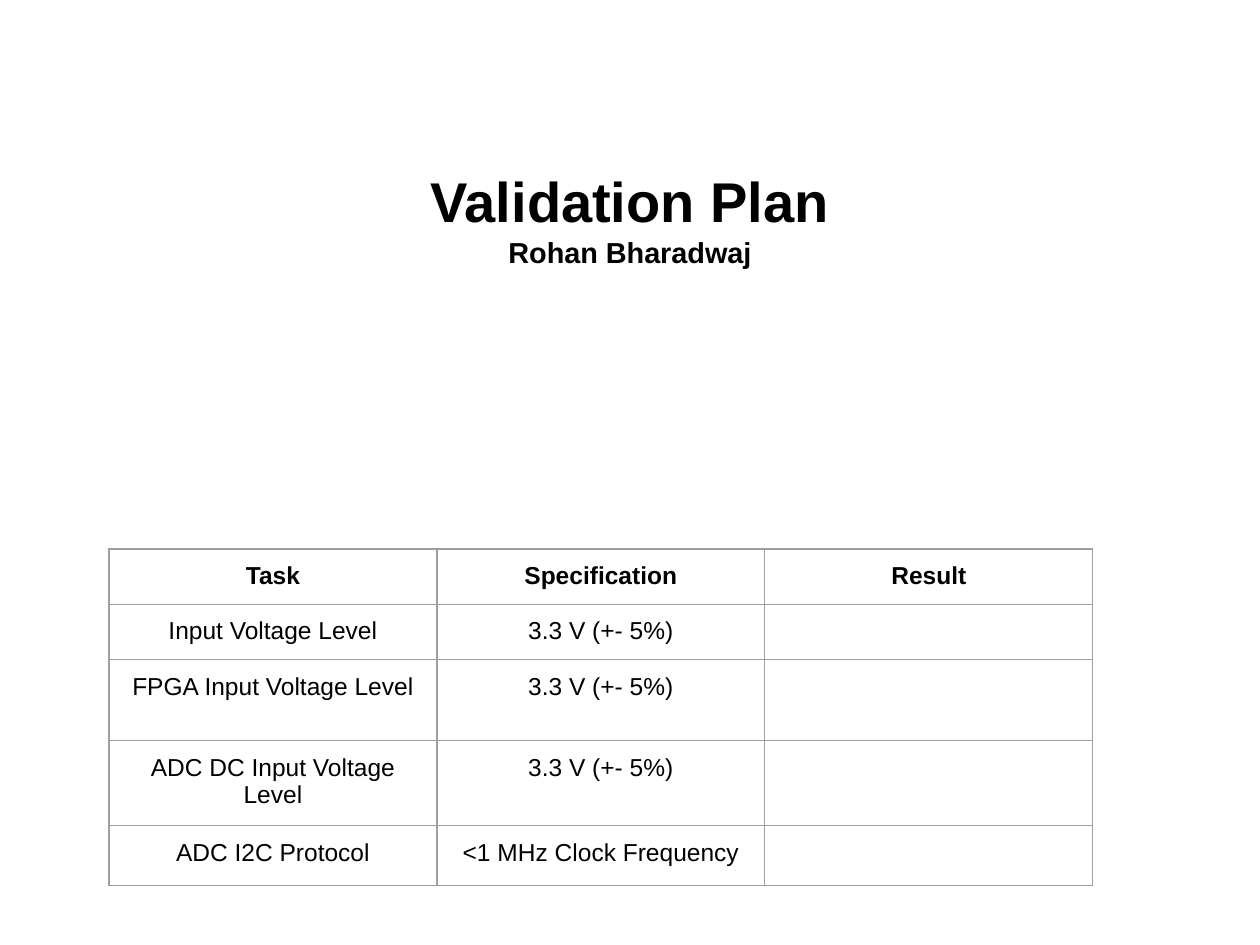
import dataclasses

import pptx
import pptx.dml.color
import pptx.enum.text
import pptx.oxml.ns
import pptx.util
from lxml import etree

EMU_PER_PX = 914400 // 126


@dataclasses.dataclass(frozen=True)
class Theme:
    font: str = "Arial"
    ink: str = "000000"
    paper: str = "FFFFFF"
    rule: str = "9E9E9E"
    rule_width: float = 0.75
    title_size: float = 32
    author_size: float = 16.5
    table_size: float = 14


@dataclasses.dataclass(frozen=True)
class Area:
    left: int
    top: int
    width: int
    height: int


@dataclasses.dataclass(frozen=True)
class TaskRow:
    task: str
    specification: str
    result: str
    height: int
    bold: bool = False


THEME = Theme()
TITLE_AREA = Area(63, 145, 1134, 111)
AUTHOR_AREA = Area(427, 222, 406, 34)
TABLE_LEFT, TABLE_TOP, COLUMN_WIDTH = 109, 549, 328
INSET = 13

ROWS = [
    TaskRow("Task", "Specification", "Result", 53, bold=True),
    TaskRow("Input Voltage Level", "3.3 V (+- 5%)", "", 52),
    TaskRow("FPGA Input Voltage Level", "3.3 V (+- 5%)", "", 81),
    TaskRow("ADC DC Input Voltage Level", "3.3 V (+- 5%)", "", 80),
    TaskRow("ADC I2C Protocol", "<1 MHz Clock Frequency", "", 60),
]


def px(length: int) -> pptx.util.Emu:
    return pptx.util.Emu(length * EMU_PER_PX)


def set_all(target, values: dict) -> None:
    for name, value in values.items():
        setattr(target, name, value)


def place(shape, area: Area) -> None:
    set_all(shape, {name: px(length) for name, length in dataclasses.asdict(area).items()})


def write(frame, text: str, size: float, bold: bool) -> None:
    para = frame.paragraphs[0]
    para.alignment = pptx.enum.text.PP_ALIGN.CENTER
    span = para.add_run()
    span.text = text
    set_all(span.font, {"name": THEME.font, "size": pptx.util.Pt(size), "bold": bold})
    span.font.color.rgb = pptx.dml.color.RGBColor.from_string(THEME.ink)


def add_borders(cell) -> None:
    properties = cell._tc.get_or_add_tcPr()
    for side in ("lnL", "lnR", "lnT", "lnB"):
        line = etree.SubElement(properties, pptx.oxml.ns.qn(f"a:{side}"))
        line.set("w", str(pptx.util.Pt(THEME.rule_width)))
        fill = etree.SubElement(line, pptx.oxml.ns.qn("a:solidFill"))
        etree.SubElement(fill, pptx.oxml.ns.qn("a:srgbClr")).set("val", THEME.rule)


def add_heading(page) -> None:
    title = page.shapes.title
    place(title, TITLE_AREA)
    title.text_frame.vertical_anchor = pptx.enum.text.MSO_ANCHOR.MIDDLE
    write(title.text_frame, "Validation Plan", THEME.title_size, bold=True)

    author = page.shapes.add_textbox(0, 0, 0, 0)
    place(author, AUTHOR_AREA)
    margins = {f"margin_{side}": px(INSET) for side in ("left", "right", "top", "bottom")}
    set_all(author.text_frame, {"word_wrap": True, **margins})
    write(author.text_frame, "Rohan Bharadwaj", THEME.author_size, bold=True)


def add_task_table(page, rows: list[TaskRow]) -> None:
    height = sum(row.height for row in rows)
    frame = page.shapes.add_table(
        len(rows), 3, px(TABLE_LEFT), px(TABLE_TOP), px(3 * COLUMN_WIDTH), px(height))
    table = frame.table
    set_all(table, {"first_row": False, "horz_banding": False})
    for column in table.columns:
        column.width = px(COLUMN_WIDTH)
    for table_row, row in zip(table.rows, rows):
        table_row.height = px(row.height)
        for cell, text in zip(table_row.cells, (row.task, row.specification, row.result)):
            add_borders(cell)
            cell.fill.solid()
            cell.fill.fore_color.rgb = pptx.dml.color.RGBColor.from_string(THEME.paper)
            if text:
                set_all(cell, {f"margin_{side}": px(INSET)
                               for side in ("left", "right", "top", "bottom")})
                write(cell.text_frame, text, THEME.table_size, row.bold)


def main() -> None:
    deck = pptx.Presentation()
    set_all(deck, {"slide_width": px(1260), "slide_height": px(945)})
    page = deck.slides.add_slide(deck.slide_layouts[5])

    # Title and author
    add_heading(page)

    # Tasks with their specifications
    add_task_table(page, ROWS)

    deck.save("out.pptx")


if __name__ == "__main__":
    main()
